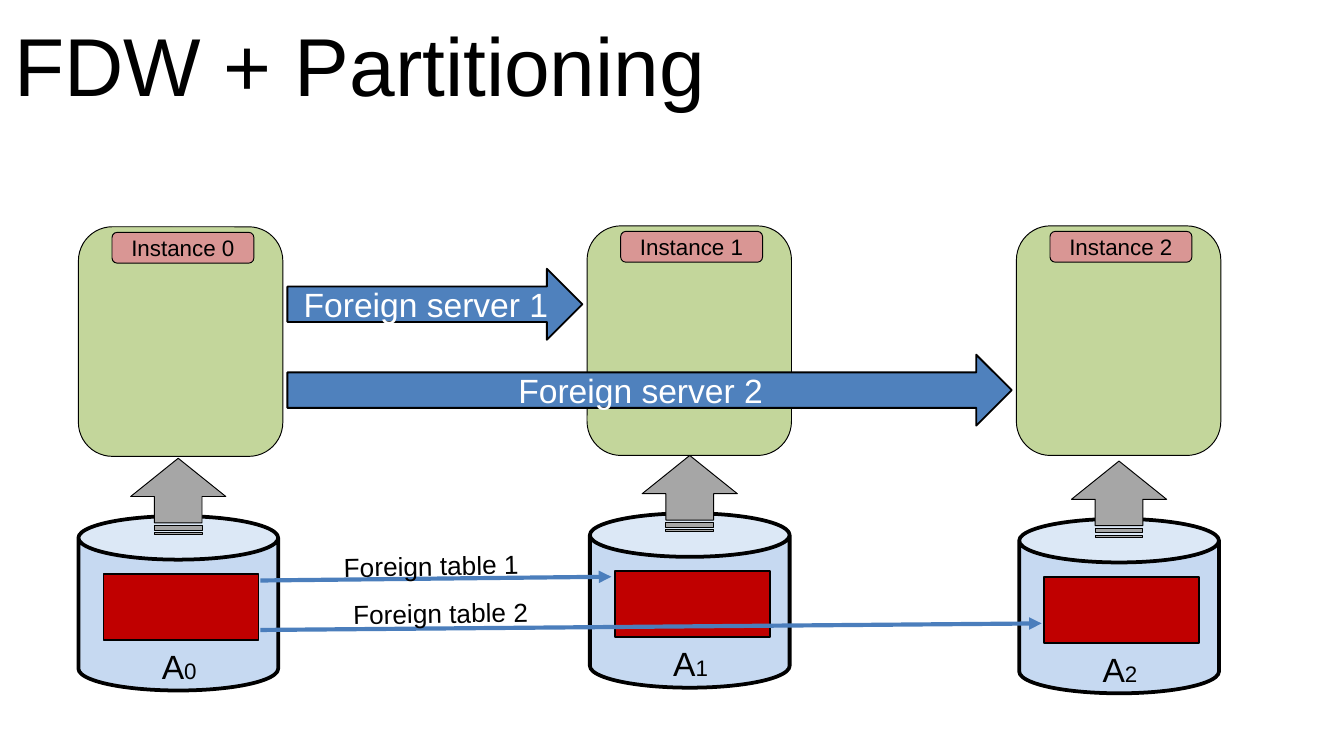
from dataclasses import dataclass

from lxml import etree
from pptx import Presentation
from pptx.dml.color import RGBColor
from pptx.enum import shapes, text
from pptx.oxml import ns
from pptx.util import Pt

SHAPE = shapes.MSO_SHAPE


@dataclass(frozen=True)
class Theme:
    font: str = "Arial"
    ink: str = "000000"
    paper: str = "FFFFFF"
    can: str = "C6D9F1"
    lift: str = "A6A6A6"
    node: str = "C3D69B"
    tag: str = "D99694"
    server: str = "4F81BD"
    table: str = "C00000"
    link: str = "4B7EBC"
    title: int = 44
    large: int = 18
    note: int = 14
    small: int = 12


THEME = Theme()


def pts(*nums):
    return [Pt(n) for n in nums]


def style(run, size, color=THEME.ink):
    run.font.name = THEME.font
    run.font.size = Pt(size)
    run.font.color.rgb = RGBColor.from_string(color)


def inset(frame, side, top):
    frame.margin_left = frame.margin_right = Pt(side)
    frame.margin_top = frame.margin_bottom = Pt(top)


def block(slide, kind, box, fill, line, words="", size=THEME.small, color=THEME.ink):
    """Add an outlined preset shape with optional centred text."""
    shape = slide.shapes.add_shape(kind, *pts(*box))
    shape.shadow.inherit = False
    shape.fill.solid()
    shape.fill.fore_color.rgb = RGBColor.from_string(fill)
    shape.line.color.rgb = RGBColor.from_string(THEME.ink)
    shape.line.width = Pt(line)
    if words:
        frame = shape.text_frame
        inset(frame, 0, 0)
        frame.word_wrap = False
        frame.vertical_anchor = text.MSO_ANCHOR.MIDDLE
        para = frame.paragraphs[0]
        para.text = words
        para.alignment = text.PP_ALIGN.CENTER
        style(para.runs[0], size, color)
    return shape


def label(slide, box, parts, turn=0):
    """Add a centred text box; parts are (words, size) runs."""
    shape = slide.shapes.add_textbox(*pts(*box))
    shape.rotation = turn
    frame = shape.text_frame
    frame.word_wrap = True
    inset(frame, 5, 3)
    para = frame.paragraphs[0]
    para.alignment = text.PP_ALIGN.CENTER
    for words, size in parts:
        run = para.add_run()
        run.text = words
        style(run, size)


def title(slide, box, words):
    shape = slide.shapes.title
    shape.left, shape.top, shape.width, shape.height = pts(*box)
    frame = shape.text_frame
    frame.text = words
    frame.auto_size = text.MSO_AUTO_SIZE.NONE
    frame.vertical_anchor = text.MSO_ANCHOR.MIDDLE
    para = frame.paragraphs[0]
    para.alignment = text.PP_ALIGN.LEFT
    style(para.runs[0], THEME.title)


def store(slide, box, num):
    """Draw a database can with its table, its name and the arrow above it."""
    left, top, wide, high = box
    block(slide, SHAPE.CAN, box, THEME.can, 2)
    long, span = 41, 51
    mid = left + wide / 2
    lift = block(slide, SHAPE.STRIPED_RIGHT_ARROW,
                 (mid - long / 2, top - 41 + span / 2 - long / 2, long, span),
                 THEME.lift, 0.5)
    lift.rotation = 270
    block(slide, SHAPE.RECTANGLE, (left + 13.5, top + 31, 83, 35.5), THEME.table, 1)
    label(slide, (left + 11, top + 66.5, 86, 27),
          [("A", THEME.large), (str(num), THEME.small)])


def instance(slide, box, num):
    left, top, wide, high = box
    block(slide, SHAPE.FLOWCHART_ALTERNATE_PROCESS, box, THEME.node, 0.5)
    block(slide, SHAPE.FLOWCHART_ALTERNATE_PROCESS, (left + 18, top + 3, 76, 16.5),
          THEME.tag, 0.5, f"Instance {num}")


def server(slide, box, num):
    block(slide, SHAPE.RIGHT_ARROW, box, THEME.server, 1,
          f"Foreign server {num}", THEME.large, THEME.paper)


def link(slide, start, end, box, num):
    """Draw the arrow to a foreign table, with its slanted caption."""
    line = slide.shapes.add_connector(
        shapes.MSO_CONNECTOR.STRAIGHT, *pts(*start, *end))
    line.line.color.rgb = RGBColor.from_string(THEME.link)
    line.line.width = Pt(2.25)
    etree.SubElement(line.line._get_or_add_ln(), ns.qn("a:tailEnd"), type="triangle")
    etree.SubElement(line._element.spPr, ns.qn("a:effectLst"))
    label(slide, box, [(f"Foreign table {num}", THEME.note)], 359)


def main():
    deck = Presentation()
    deck.slide_width, deck.slide_height = pts(720, 405)
    slide = deck.slides.add_slide(deck.slide_layouts[5])
    title(slide, (0.5, 0, 648, 68), "FDW + Partitioning")

    for num, (left, top) in enumerate([(42, 276.5), (316, 275), (546, 278)]):
        store(slide, (left, top, 107, 93.5), num)
    for num, (left, top) in enumerate([(42, 121.5), (314.5, 121), (544.5, 121)]):
        instance(slide, (left, top, 109.5, 123), num)
    for num, wide in enumerate((158, 388), 1):
        server(slide, (154, 98 + 46 * num, wide, 38), num)

    link(slide, (139.5, 311), (327.5, 309), (151, 291.5, 160, 19.5), 1)
    link(slide, (139.5, 337.5), (558, 334), (156, 317, 160, 19.5), 2)
    deck.save("out.pptx")


if __name__ == "__main__":
    main()
